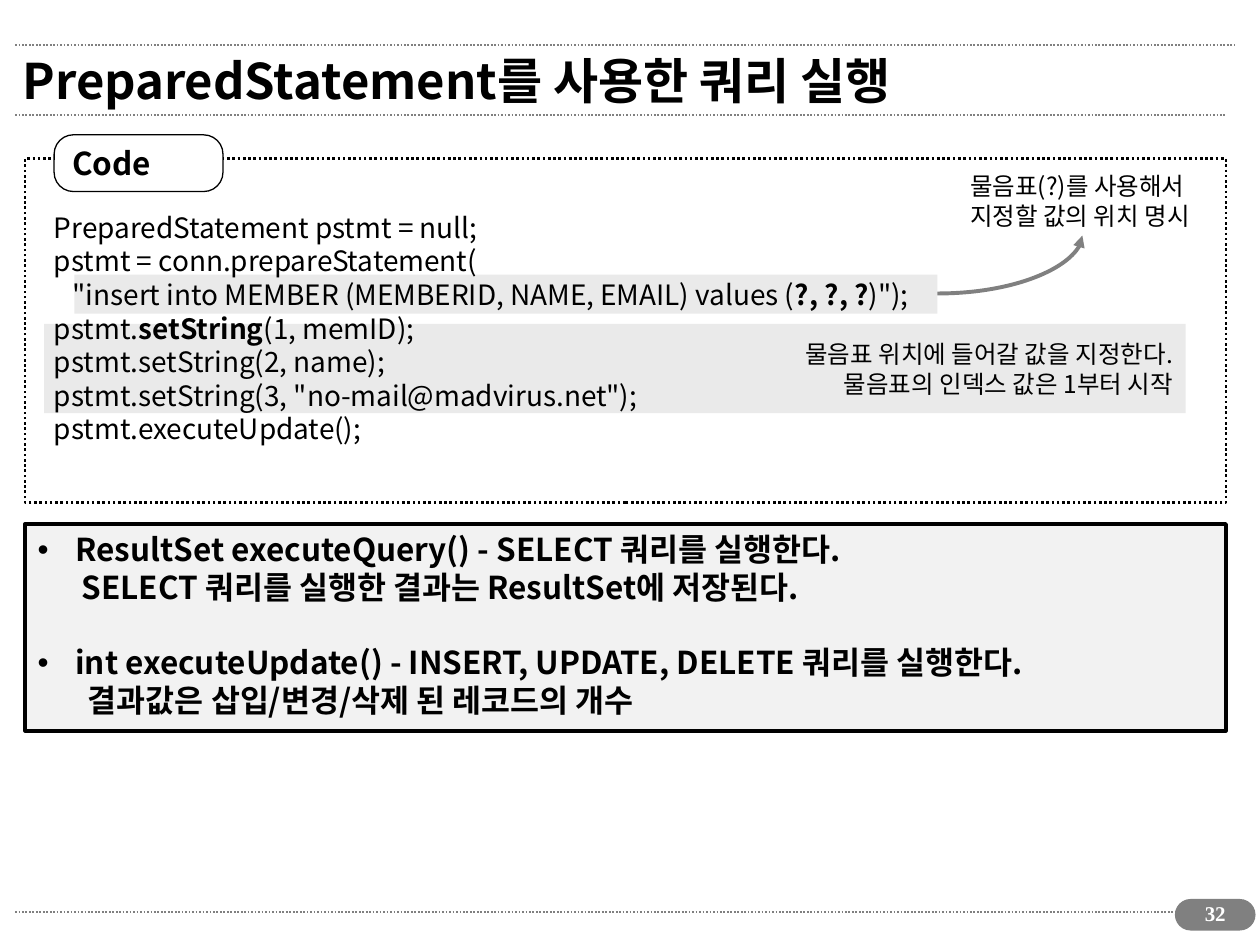
import pptx
import pptx.util
import pptx.dml.color
import pptx.enum.dml
import pptx.enum.shapes
import pptx.enum.text
import pptx.oxml.ns
from lxml import etree

Inches, Pt = pptx.util.Inches, pptx.util.Pt
RGB = pptx.dml.color.RGBColor.from_string
SHAPE = pptx.enum.shapes.MSO_SHAPE
CONN = pptx.enum.shapes.MSO_CONNECTOR
ALIGN = pptx.enum.text.PP_ALIGN
ANCHOR = pptx.enum.text.MSO_ANCHOR
DOTTED = pptx.enum.dml.MSO_LINE.ROUND_DOT
qn = pptx.oxml.ns.qn

FONT = "Noto Sans CJK KR"
COLORS = {"black": "000000", "white": "FFFFFF", "gray": "808080",
          "highlight": "EAEAEA", "panel": "F2F2F2"}


def write(sp, paragraphs, size=16, bold=False, color="black", font=FONT,
          align=ALIGN.LEFT, anchor=ANCHOR.TOP):
    """Fill a shape; each paragraph is a string whose ** marks toggle bold."""
    tf = sp.text_frame
    tf.word_wrap = True
    tf.vertical_anchor = anchor
    for i, text in enumerate(paragraphs):
        p = tf.paragraphs[0] if i == 0 else tf.add_paragraph()
        p.alignment = align
        for j, part in enumerate(text.split("**")):
            r = p.add_run()
            r.text = part
            r.font.size = Pt(size)
            r.font.bold = bold or j % 2 == 1
            r.font.name = font
            r.font.color.rgb = RGB(COLORS[color])
            etree.SubElement(r.font._element, qn("a:ea"), typeface=font)
    return tf


def add_box(kind, at, fill=None, line=None, width=0.75, adj=None):
    sp = s.shapes.add_shape(kind, *map(Inches, at))
    sp.shadow.inherit = False
    if fill:
        sp.fill.solid()
        sp.fill.fore_color.rgb = RGB(COLORS[fill])
    else:
        sp.fill.background()
    if line:
        sp.line.color.rgb = RGB(COLORS[line])
        sp.line.width = Pt(width)
    else:
        sp.line.fill.background()
    if adj is not None:
        sp.adjustments[0] = adj
    return sp


prs = pptx.Presentation()
prs.slide_width, prs.slide_height = Inches(10), Inches(7.5)
s = prs.slides.add_slide(prs.slide_layouts[5])

# Title
title = s.shapes.title
title.left, title.top, title.width, title.height = map(Inches, (0.08, 0.28, 9.1, 0.71))
write(title, ["PreparedStatement를 사용한 쿼리 실행"], size=28, bold=True,
      anchor=ANCHOR.MIDDLE)

# Dotted rules and the curved arrow
connectors = []
for y, right in ((7.24, 9.73), (0.91, 9.72), (0.36, 9.8)):
    rule = s.shapes.add_connector(CONN.STRAIGHT, Inches(0.12), Inches(y),
                                  Inches(right), Inches(y))
    rule.line.width = Pt(1)
    rule.line.dash_style = DOTTED
    connectors.append(rule)

# Page number
add_box(SHAPE.ROUNDED_RECTANGLE, (9.33, 7.14, 0.63, 0.24), "gray", "gray", adj=0.5)
number = s.shapes.add_textbox(Inches(9.37), Inches(7.1), Inches(0.55), Inches(0.34))
write(number, ["32"], size=12, bold=True, color="white", font="Times New Roman",
      align=ALIGN.CENTER)

# Highlights behind the code
values = add_box(SHAPE.RECTANGLE, (0.35, 2.57, 9.06, 0.71), "highlight")
write(values, ["물음표 위치에 들어갈 값을 지정한다.", "물음표의 인덱스 값은 1부터 시작"],
      size=14, align=ALIGN.RIGHT, anchor=ANCHOR.MIDDLE)
add_box(SHAPE.RECTANGLE, (0.59, 2.18, 6.85, 0.31), "highlight")

# Code frame, label and listing
frame = add_box(SHAPE.RECTANGLE, (0.2, 1.26, 9.53, 2.73), line="black", width=1.5)
frame.line.dash_style = DOTTED
label = add_box(SHAPE.ROUNDED_RECTANGLE, (0.43, 1.07, 1.34, 0.45), "white", "black",
                adj=0.34)
write(label, ["Code"], size=18, bold=True, anchor=ANCHOR.MIDDLE)
code = s.shapes.add_textbox(Inches(0.33), Inches(1.62), Inches(7.58), Inches(1.97))
write(code, [
    "PreparedStatement pstmt = null;",
    "pstmt = conn.prepareStatement(",
    '   "insert into MEMBER (MEMBERID, NAME, EMAIL) values (**?, ?, ?**)");',
    "pstmt.**setString**(1, memID);",
    "pstmt.setString(2, name);",
    'pstmt.setString(3, "no-mail@madvirus.net");',
    "pstmt.executeUpdate();",
])

# Method summary: bulleted headings, each with an indented explanation
summary = add_box(SHAPE.RECTANGLE, (0.2, 4.16, 9.53, 1.64), "panel", "black", 2.25)
tf = write(summary, [
    "ResultSet executeQuery() - SELECT 쿼리를 실행한다.",
    "SELECT 쿼리를 실행한 결과는 ResultSet에 저장된다.",
    "int executeUpdate() - INSERT, UPDATE, DELETE 쿼리를 실행한다.",
    "결과값은 삽입/변경/삭제 된 레코드의 개수",
], size=18, bold=True)
for p, margin in zip(tf.paragraphs, (0.3, 0.35, 0.3, 0.4)):
    pPr = p._p.get_or_add_pPr()
    pPr.set("marL", str(Inches(margin)))
    if margin == 0.3:
        pPr.set("indent", str(-Inches(margin)))
        etree.SubElement(pPr, qn("a:buFont"), typeface="Arial")
        etree.SubElement(pPr, qn("a:buChar"), char="•")
tf.paragraphs[2].space_before = Pt(21.5)

# Callout on the question marks
note = s.shapes.add_textbox(Inches(7.6), Inches(1.31), Inches(1.98), Inches(0.57))
write(note, ["물음표(?)를 사용해서", "지정할 값의 위치 명시"], size=14)
arrow = s.shapes.add_connector(CONN.CURVE, Inches(7.44), Inches(2.33),
                               Inches(8.59), Inches(1.87))
arrow._element.spPr.find(qn("a:prstGeom")).set("prst", "curvedConnector2")
arrow.line.width = Pt(2.25)
connectors.append(arrow)

# Shared connector format
for c in connectors:
    c.line.color.rgb = RGB(COLORS["gray"])
    etree.SubElement(c._element.spPr, qn("a:effectLst"))
etree.SubElement(arrow.line._get_or_add_ln(), qn("a:tailEnd"), type="triangle")

prs.save("out.pptx")
